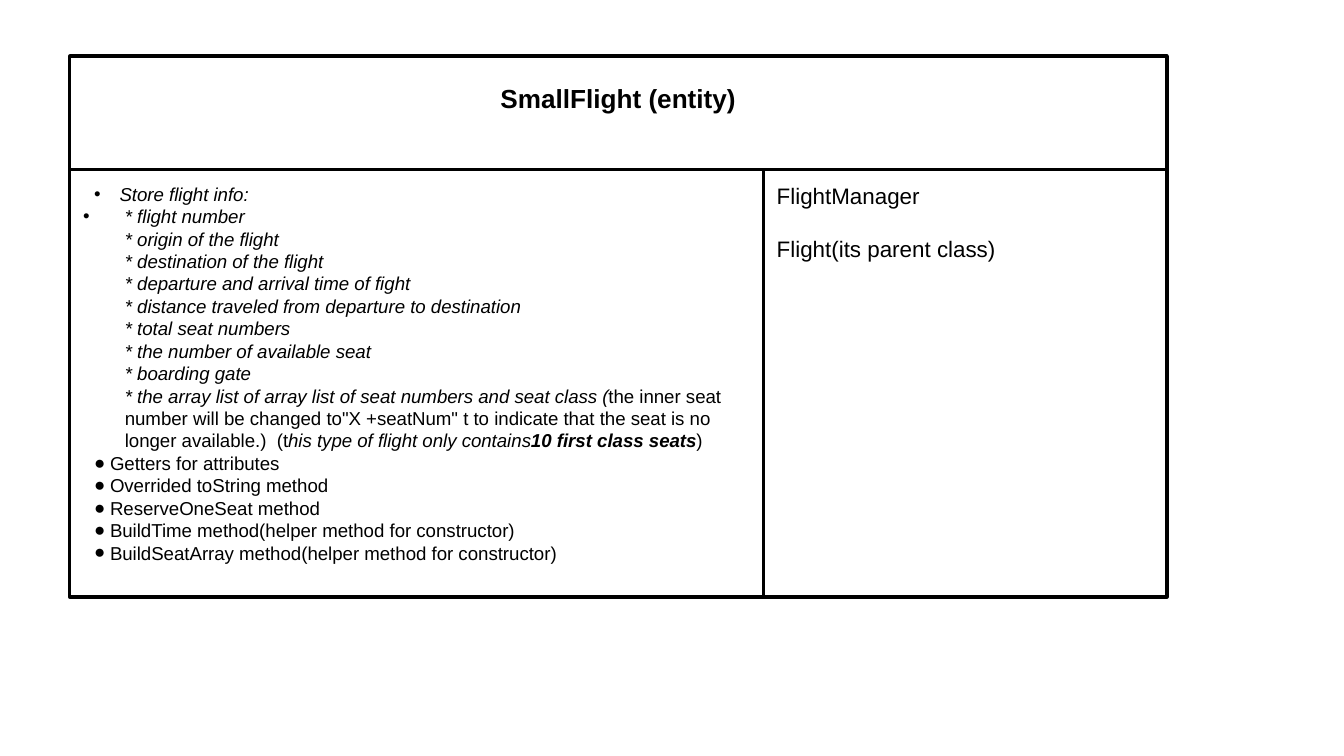
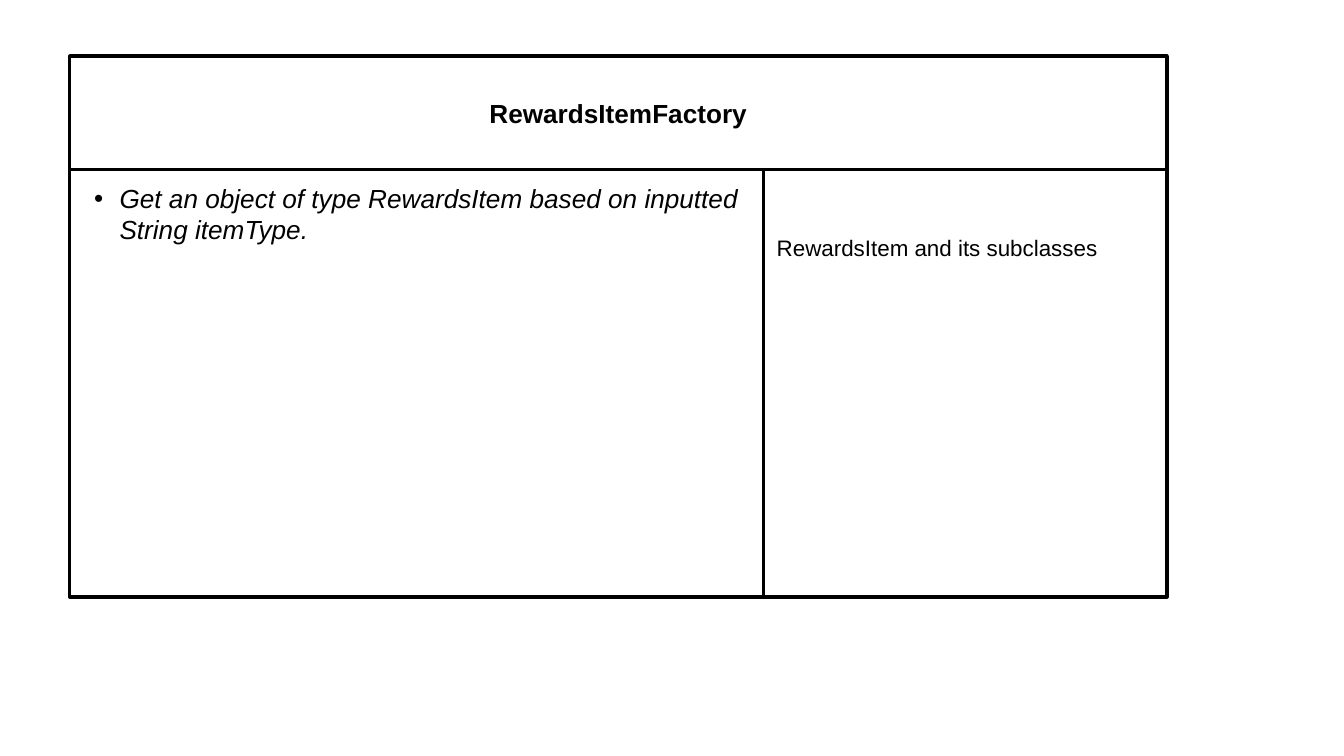
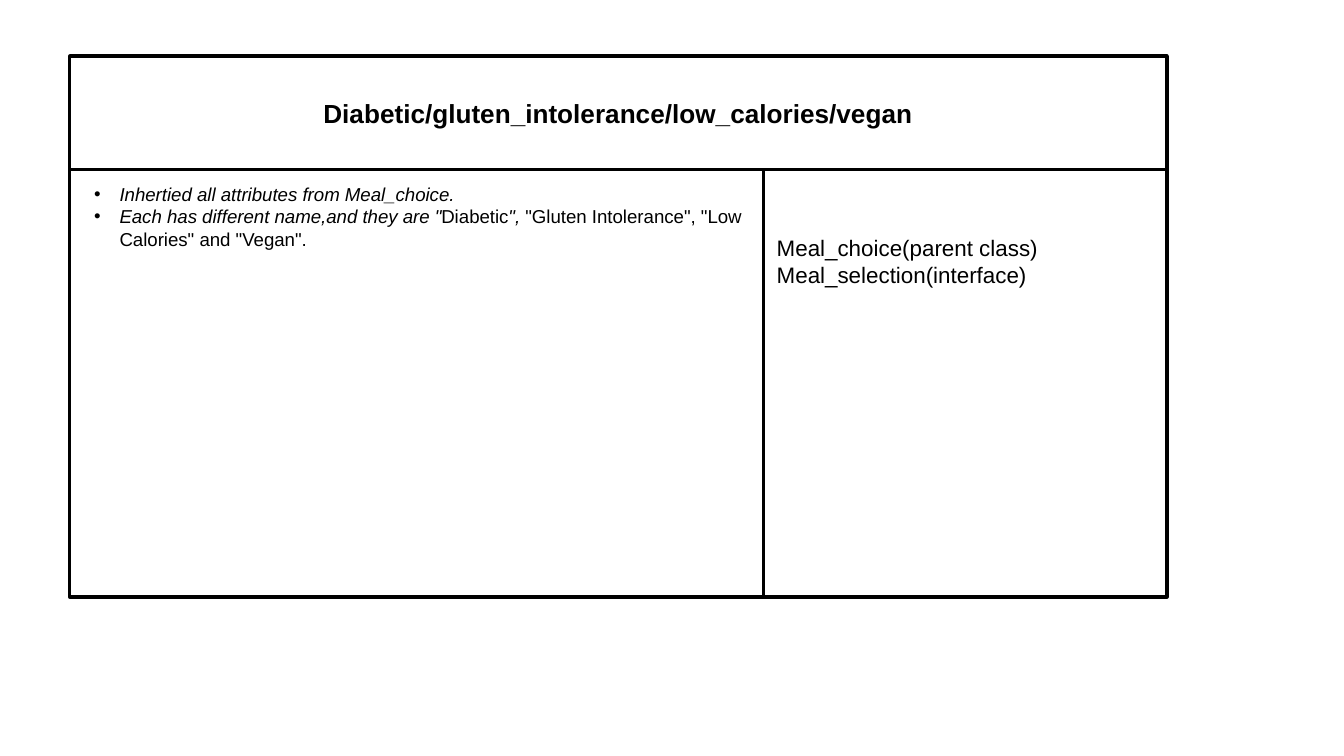
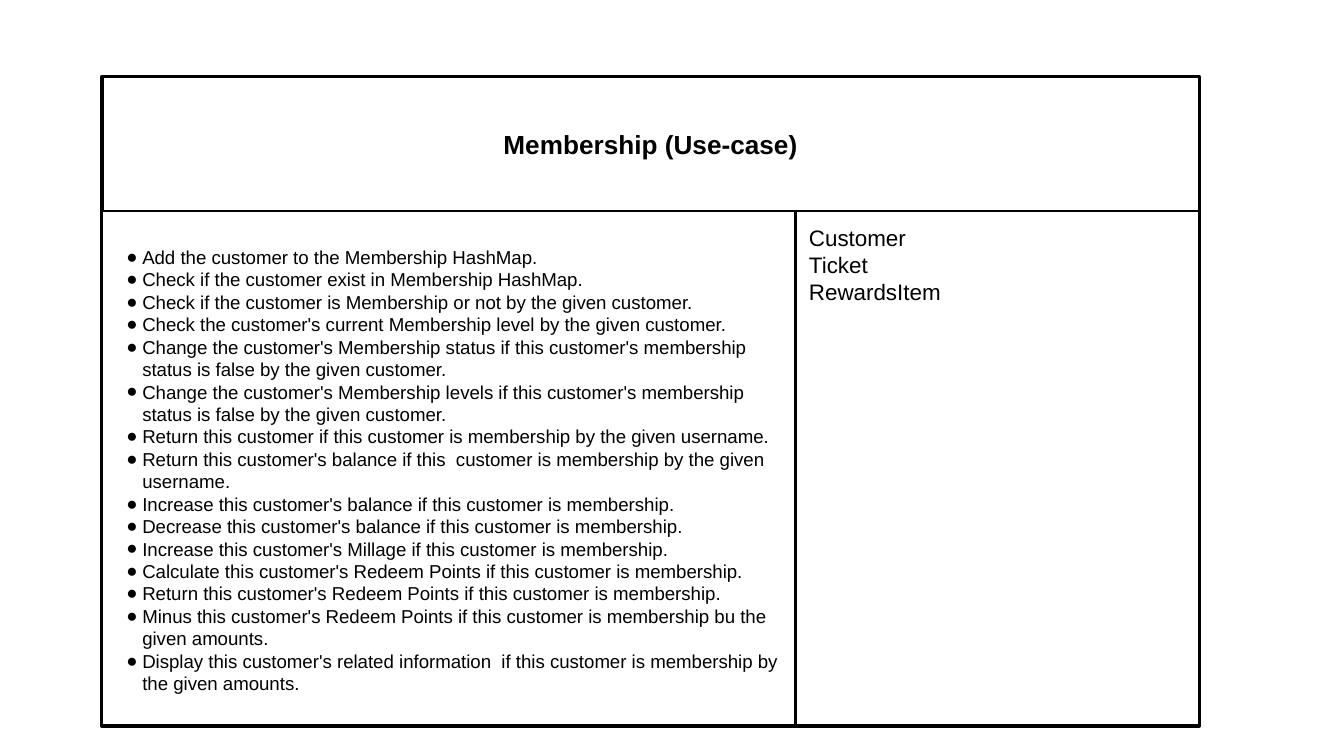
from lxml.etree import SubElement
from pptx import Presentation
from pptx.dml.color import RGBColor
from pptx.enum.shapes import MSO_SHAPE as Shape
from pptx.enum.text import MSO_ANCHOR as Anchor, MSO_AUTO_SIZE as AutoSize, PP_ALIGN as Align
from pptx.oxml.ns import qn
from pptx.util import Cm, Pt

INSET = 0.25
LINE_HEIGHT = 1.15
BULLETS = {"main": ("•", 0.69, -0.48), "detail": ("•", 0.79, -0.79), "method": ("●", 0.51, -0.3)}


def color(value):
    return RGBColor.from_string(value)


def blank_lines(count, size):
    return Pt(count * size * LINE_HEIGHT)


def set_bullet(paragraph, kind, ink):
    char, margin, indent = BULLETS[kind]
    props = paragraph._p.get_or_add_pPr()
    props.set("marL", str(Cm(margin)))
    props.set("indent", str(Cm(indent)))
    SubElement(SubElement(props, qn("a:buClr")), qn("a:srgbClr"), val=ink)
    SubElement(props, qn("a:buFont"), typeface="Arial")
    SubElement(props, qn("a:buChar"), char=char)


def write(shape, paragraphs, size, ink, font="Arial", style="", align=Align.LEFT,
          anchor=Anchor.TOP, lines_above=0, lines_below=0, lines_between=0):
    frame = shape.text_frame
    frame.word_wrap = True
    frame.auto_size = AutoSize.NONE
    frame.vertical_anchor = anchor
    frame.margin_left = frame.margin_right = Cm(INSET)
    frame.margin_top = Cm(INSET) + blank_lines(lines_above, size)
    frame.margin_bottom = Cm(INSET) + blank_lines(lines_below, size)
    for index, (bullet, runs) in enumerate(paragraphs):
        paragraph = frame.add_paragraph() if index else frame.paragraphs[0]
        paragraph.alignment = align
        if index and lines_between:
            paragraph.space_before = blank_lines(lines_between, size)
        if bullet:
            set_bullet(paragraph, bullet, ink)
        for text, run_style in [(runs, style)] if isinstance(runs, str) else runs:
            for number, line in enumerate(text.split("\n")):
                if number:
                    paragraph.add_line_break()
                run = paragraph.add_run()
                run.text = line
                run.font.name = font
                run.font.size = Pt(size)
                run.font.bold = "b" in run_style
                run.font.italic = "i" in run_style
                run.font.color.rgb = color(ink)


class CardDeck:
    ink = "000000"
    paper = "FFFFFF"
    width = 20.73
    duties_width = 13.11

    def __init__(self):
        self.deck = Presentation()
        self.deck.slide_width = Cm(25.4)
        self.deck.slide_height = Cm(14.29)

    def start_card(self, left=1.32, top=1.07, header=2.13, body=8.08):
        self.slide = self.deck.slides.add_slide(self.deck.slide_layouts[5])
        self.left, self.top, self.header, self.body = left, top, header, body
        self.border = self.box(left, top, self.width, header + body, weight=2.25)

    def outline(self, shape, weight):
        shape.fill.solid()
        shape.fill.fore_color.rgb = color(self.paper)
        shape.line.color.rgb = color(self.ink)
        shape.line.width = Pt(weight)
        SubElement(shape.line._get_or_add_ln(), qn("a:round"))

    def box(self, left, top, width, height, weight=1.5):
        shape = self.slide.shapes.add_shape(Shape.RECTANGLE, Cm(left), Cm(top), Cm(width), Cm(height))
        shape.shadow.inherit = False
        self.outline(shape, weight)
        return shape

    def title(self, name, lines_below=0):
        title = self.slide.shapes.title
        title.left, title.top = Cm(self.left), Cm(self.top)
        title.width, title.height = Cm(self.width), Cm(self.header)
        self.outline(title, 1.5)
        self.border.element.addnext(title.element)
        write(title, [(None, name)], 14, self.ink, style="b", align=Align.CENTER,
              anchor=Anchor.MIDDLE, lines_below=lines_below)

    def duties(self, paragraphs, size=10, **form):
        panel = self.box(self.left, self.top + self.header, self.duties_width, self.body)
        write(panel, paragraphs, size, self.ink, **form)

    def collaborators(self, names, **form):
        panel = self.box(self.left + self.duties_width, self.top + self.header,
                         self.width - self.duties_width, self.body)
        write(panel, [(None, name) for name in names], 12, self.ink, **form)

    def save(self):
        self.deck.save("out.pptx")


FLIGHT_INFO = """* flight number
* origin of the flight
* destination of the flight
* departure and arrival time of fight
* distance traveled from departure to destination
* total seat numbers
* the number of available seat
* boarding gate
* the array list of array list of seat numbers and seat class ("""

FLIGHT_METHODS = [
    "Getters for attributes",
    "Overrided toString method",
    "ReserveOneSeat method",
    "BuildTime method(helper method for constructor)",
    "BuildSeatArray method(helper method for constructor)",
]

MEMBERSHIP_METHODS = [
    "Add the customer to the Membership HashMap.",
    "Check if the customer exist in Membership HashMap.",
    "Check if the customer is Membership or not by the given customer.",
    "Check the customer's current Membership level by the given customer.",
    "Change the customer's Membership status if this customer's membership status is false by the given customer.",
    "Change the customer's Membership levels if this customer's membership status is false by the given customer.",
    "Return this customer if this customer is membership by the given username.",
    "Return this customer's balance if this  customer is membership by the given username.",
    "Increase this customer's balance if this customer is membership.",
    "Decrease this customer's balance if this customer is membership.",
    "Increase this customer's Millage if this customer is membership.",
    "Calculate this customer's Redeem Points if this customer is membership.",
    "Return this customer's Redeem Points if this customer is membership.",
    "Minus this customer's Redeem Points if this customer is membership bu the given amounts.",
    "Display this customer's related information  if this customer is membership by the given amounts.",
]


def main():
    cards = CardDeck()

    cards.start_card()
    cards.title("SmallFlight (entity)", lines_below=1)
    flight_details = [
        (FLIGHT_INFO, "i"),
        ("the inner seat number will be changed to\"X +seatNum\" t to indicate that the seat is "
         "no longer available.)  (t", ""),
        ("his type of flight only contains", "i"),
        ("10 first class seats", "bi"),
        (")", ""),
    ]
    cards.duties([("main", [("Store flight info:", "i")]), ("detail", flight_details)]
                 + [("method", method) for method in FLIGHT_METHODS])
    cards.collaborators(["FlightManager", "Flight(its parent class)"], lines_between=1)

    cards.start_card()
    cards.title("RewardsItemFactory")
    cards.duties([("main", "Get an object of type RewardsItem based on inputted String itemType.")],
                 size=14, style="i")
    cards.collaborators(["RewardsItem and its subclasses"], lines_above=2)

    cards.start_card()
    cards.title("Diabetic/gluten_intolerance/low_calories/vegan")
    meal_names = [
        ("Each has different name,and they are \"", "i"),
        ("Diabetic", ""),
        ("\", ", "i"),
        ("\"Gluten Intolerance\", \"Low Calories\" and \"Vegan\".", ""),
    ]
    cards.duties([("main", "Inhertied all attributes from Meal_choice."), ("main", meal_names)], style="i")
    cards.collaborators(["Meal_choice(parent class)", "Meal_selection(interface)"], lines_above=2)

    cards.start_card(left=1.93, top=1.45, header=2.54, body=9.73)
    cards.title("Membership (Use-case)")
    cards.duties([("method", method) for method in MEMBERSHIP_METHODS], lines_above=1)
    cards.collaborators(["Customer", "Ticket", "RewardsItem"])

    cards.save()


if __name__ == "__main__":
    main()
